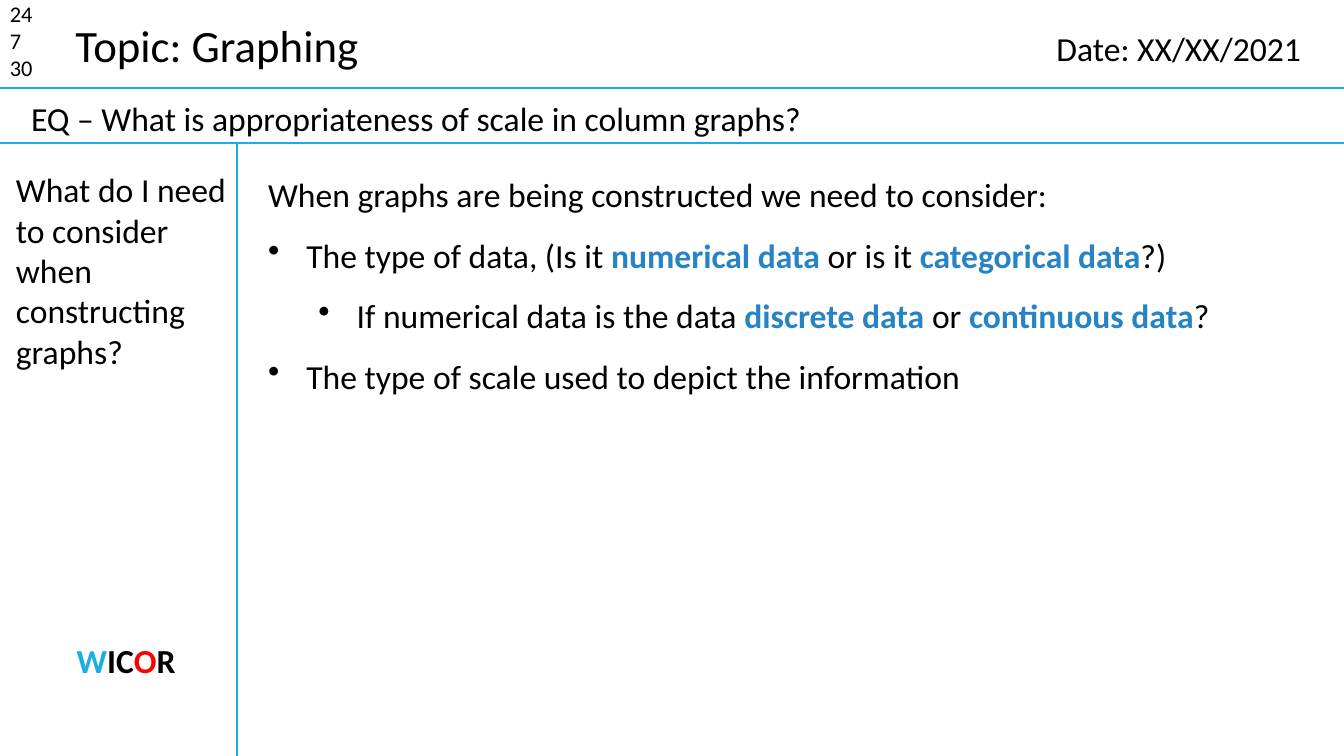
from lxml.etree import SubElement
from pptx import Presentation
from pptx.dml.color import RGBColor
from pptx.enum.shapes import MSO_CONNECTOR as CONN
from pptx.enum.text import MSO_AUTO_SIZE as AUTO, PP_ALIGN as ALIGN
from pptx.oxml.ns import qn
from pptx.util import Inches, Pt

COLORS = {"text": "000000", "rule": "1CADE4", "term": "2683C6", "red": "FF0000"}
WIDTH, HEIGHT = 13.33, 7.5
HEADER_Y, QUESTION_Y, CUE_X = 0.87, 1.42, 2.35
HANGING = 0.38


def add_bullet(p, level):
    """Give a paragraph a round bullet with a hanging indent."""
    p.level = level
    pPr = p._p.get_or_add_pPr()
    pPr.set("marL", str(Inches(HANGING + level * 0.5)))
    pPr.set("indent", str(-Inches(HANGING)))
    SubElement(pPr, qn("a:buChar")).set("char", "•")


def add_run(p, text, size=24, color="text", bold=False, font="Calibri"):
    r = p.add_run()
    r.text = text
    r.font.name = font
    r.font.size = Pt(size)
    r.font.bold = bold
    r.font.color.rgb = RGBColor.from_string(COLORS[color])


class NotesSlide:
    """A Cornell notes page: ruled areas filled with text."""

    def __init__(self, prs):
        self.s = prs.slides.add_slide(prs.slide_layouts[6])

    def rule(self, x1, y1, x2, y2):
        line = self.s.shapes.add_connector(
            CONN.STRAIGHT, Inches(x1), Inches(y1), Inches(x2), Inches(y2))
        line.line.color.rgb = RGBColor.from_string(COLORS["rule"])
        line.line.width = Pt(1.5)
        SubElement(line._element.spPr, qn("a:effectLst"))

    def text(self, x, y, w, h, paragraphs, size=24, wrap=True, align=None, spacing=None):
        """Each paragraph is (bullet level or None, [(text, run format), ...])."""
        sp = self.s.shapes.add_textbox(Inches(x), Inches(y), Inches(w), Inches(h))
        tf = sp.text_frame
        tf.word_wrap = wrap
        tf.auto_size = AUTO.SHAPE_TO_FIT_TEXT
        for i, (level, runs) in enumerate(paragraphs):
            p = tf.add_paragraph() if i else tf.paragraphs[0]
            if align is not None:
                p.alignment = align
            if spacing:
                p.line_spacing = spacing
            if level is not None:
                add_bullet(p, level)
            for text, fmt in runs:
                add_run(p, text, size=size, **fmt)

    def plain(self, x, y, w, h, *lines, **fmt):
        self.text(x, y, w, h, [(None, [(line, {})]) for line in lines], **fmt)


def main():
    prs = Presentation()
    prs.slide_width, prs.slide_height = Inches(WIDTH), Inches(HEIGHT)
    page = NotesSlide(prs)
    term = {"color": "term", "bold": True}

    page.rule(0, HEADER_Y, WIDTH, HEADER_Y)
    page.rule(0, QUESTION_Y, WIDTH, QUESTION_Y)
    page.rule(CUE_X, QUESTION_Y, CUE_X, HEIGHT)

    page.plain(0, -0.05, 0.63, 0.91, "24", "7", "30", size=16)
    page.plain(0.65, 0.13, 3.04, 0.64, "Topic: Graphing", size=32, wrap=False)
    page.plain(10.38, 0.23, 2.64, 0.5, "Date: XX/XX/2021")
    page.plain(0.21, 0.92, 8.52, 0.5,
               "EQ – What is appropriateness of scale in column graphs?")
    page.plain(0.06, 1.63, 2.37, 2.12,
               "What do I need to consider when constructing graphs?")

    letters = [("W", "rule"), ("IC", "text"), ("O", "red"), ("R", "text")]
    page.text(0.14, 6.3, 2.22, 0.5,
              [(None, [(t, {"color": c, "bold": True}) for t, c in letters])],
              align=ALIGN.CENTER)

    page.text(2.56, 1.48, 9.89, 3.07, [
        (None, [("When graphs are being constructed we need to consider:", {})]),
        (0, [("The type of data, (Is it ", {}), ("numerical data ", term),
             ("or is it ", {}), ("categorical data", term), ("?)", {})]),
        (1, [("If numerical data is the data ", {}), ("discrete data ", term),
             ("or ", {}), ("continuous data", term), ("?", {})]),
        (0, [("The type of scale used to depict the information", {})]),
    ], spacing=1.5)

    prs.save("out.pptx")


if __name__ == "__main__":
    main()
